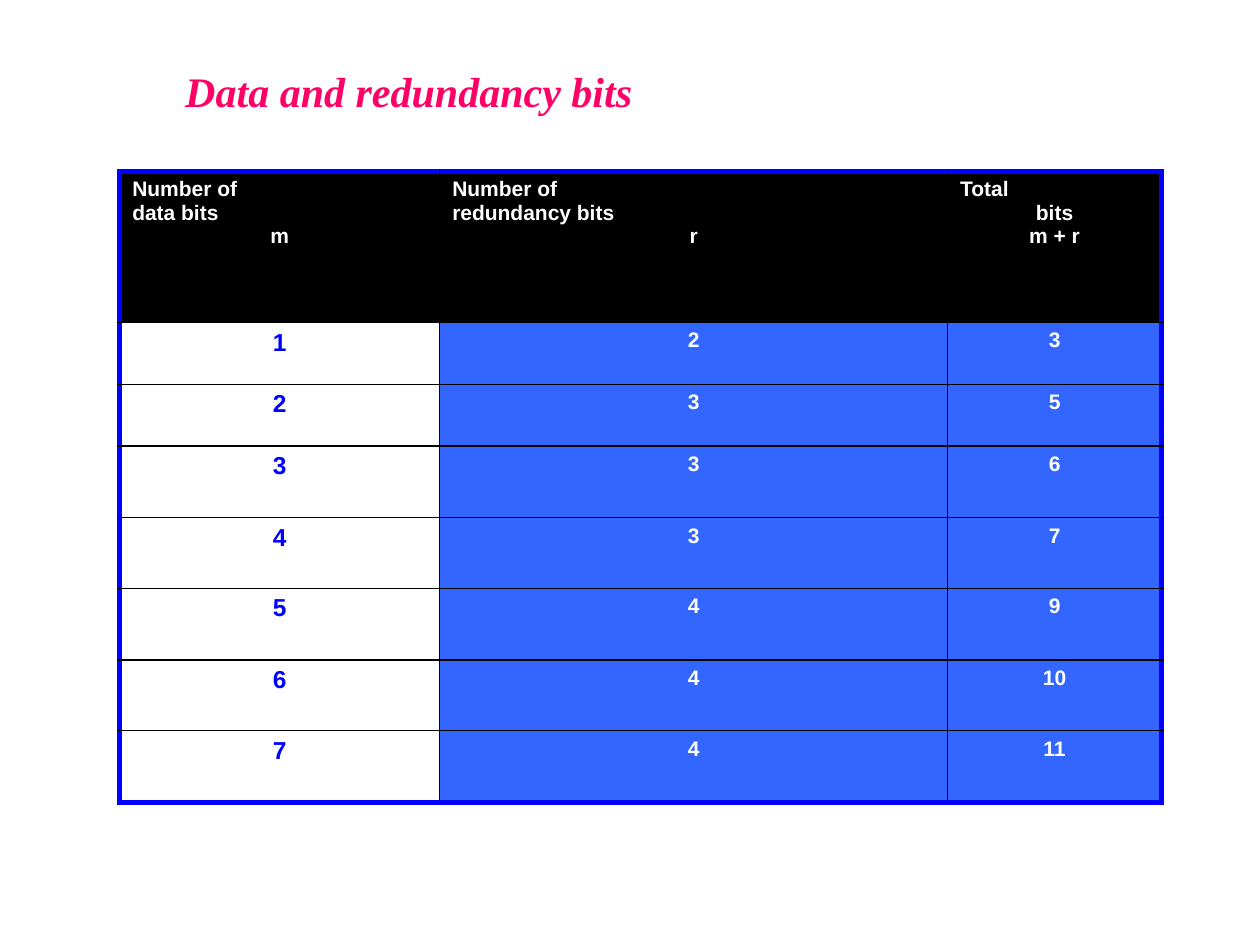
from dataclasses import dataclass

import pptx
import pptx.dml.color
import pptx.enum.text
import pptx.oxml
import pptx.oxml.ns
import pptx.util
from pptx.util import Inches

ALIGN = pptx.enum.text.PP_ALIGN


@dataclass(frozen=True)
class Theme:
    pink: str = "FF0066"
    blue: str = "0000FF"
    cell_blue: str = "3366FF"
    black: str = "000000"
    white: str = "FFFFFF"
    title_font: str = "Times New Roman"
    table_font: str = "Arial"
    title_size: float = 24
    data_size: float = 14
    text_size: float = 12
    frame_width: float = 3
    grid_width: float = 0.96


@dataclass(frozen=True)
class TextStyle:
    font: str
    size: float
    color: str
    italic: bool = False


@dataclass(frozen=True)
class Line:
    """One paragraph; its rows are parted by line breaks."""
    rows: tuple[str, ...]
    alignment: ALIGN = ALIGN.CENTER


THEME = Theme()
TITLE_STYLE = TextStyle(THEME.title_font, THEME.title_size, THEME.pink, True)
DATA_STYLE = TextStyle(THEME.table_font, THEME.data_size, THEME.blue)
TEXT_STYLE = TextStyle(THEME.table_font, THEME.text_size, THEME.white)

COLUMN_WIDTHS = (2.54, 4.03, 1.7)
ROW_HEIGHTS = (1.2, 0.49, 0.49, 0.57, 0.56, 0.57, 0.56, 0.57)
HEADERS = (
    (Line(("Number of", "data bits"), ALIGN.LEFT), Line(("m",))),
    (Line(("Number of", "redundancy bits"), ALIGN.LEFT), Line(("r",))),
    (Line(("Total",), ALIGN.LEFT), Line(("bits",)), Line(("m + r",))),
)
REDUNDANCY_BITS = (2, 3, 3, 3, 4, 4, 4)


def rgb(color: str) -> pptx.dml.color.RGBColor:
    return pptx.dml.color.RGBColor.from_string(color)


def write_text(text_frame, lines: tuple[Line, ...], style: TextStyle) -> None:
    for index, line in enumerate(lines):
        paragraph = text_frame.add_paragraph() if index else text_frame.paragraphs[0]
        paragraph.alignment = line.alignment
        for row_index, text in enumerate(line.rows):
            if row_index:
                paragraph.add_line_break()
            run = paragraph.add_run()
            run.text = text
            run.font.name = style.font
            run.font.size = pptx.util.Pt(style.size)
            run.font.bold = True
            run.font.italic = style.italic
            run.font.color.rgb = rgb(style.color)


def set_borders(cell, outer_sides: dict[str, bool]) -> None:
    """Blue frame on outer sides, thin black grid elsewhere."""
    properties = cell._tc.get_or_add_tcPr()
    for index, (side, outer) in enumerate(outer_sides.items()):
        color = THEME.blue if outer else THEME.black
        width = pptx.util.Pt(THEME.frame_width if outer else THEME.grid_width)
        border = pptx.oxml.parse_xml(
            f'<a:ln{side} {pptx.oxml.ns.nsdecls("a")} w="{int(width)}">'
            f'<a:solidFill><a:srgbClr val="{color}"/></a:solidFill></a:ln{side}>')
        properties.insert(index, border)


def add_title(slide) -> None:
    title = slide.shapes.title
    title.left, title.top = Inches(1.37), Inches(0.47)
    title.width, title.height = Inches(3.75), Inches(0.5)
    text_frame = title.text_frame
    text_frame.word_wrap = False
    text_frame.auto_size = pptx.enum.text.MSO_AUTO_SIZE.NONE
    text_frame.vertical_anchor = pptx.enum.text.MSO_ANCHOR.TOP
    write_text(text_frame, (Line(("Data and redundancy bits",), ALIGN.LEFT),), TITLE_STYLE)


def add_bits_table(slide) -> None:
    row_count, column_count = len(ROW_HEIGHTS), len(COLUMN_WIDTHS)
    table = slide.shapes.add_table(
        row_count, column_count, Inches(0.95), Inches(1.36),
        Inches(sum(COLUMN_WIDTHS)), Inches(sum(ROW_HEIGHTS))).table
    table.first_row = table.horz_banding = False
    for column, width in zip(table.columns, COLUMN_WIDTHS):
        column.width = Inches(width)
    for row, height in zip(table.rows, ROW_HEIGHTS):
        row.height = Inches(height)

    # The total is the sum of data and redundancy bits
    body = [tuple((Line((str(value),)),) for value in (m, r, m + r))
            for m, r in enumerate(REDUNDANCY_BITS, start=1)]
    for row_index, contents in enumerate([HEADERS, *body]):
        for column_index, lines in enumerate(contents):
            cell = table.cell(row_index, column_index)
            if row_index == 0:
                fill, style = THEME.black, TEXT_STYLE
            elif column_index == 0:
                fill, style = THEME.white, DATA_STYLE
            else:
                fill, style = THEME.cell_blue, TEXT_STYLE
            cell.fill.solid()
            cell.fill.fore_color.rgb = rgb(fill)
            write_text(cell.text_frame, lines, style)
            set_borders(cell, {
                "L": column_index == 0,
                "R": column_index == column_count - 1,
                "T": row_index == 0,
                "B": row_index == row_count - 1,
            })


# Slide with title and table
presentation = pptx.Presentation()
presentation.slide_width, presentation.slide_height = Inches(10), Inches(7.5)
slide = presentation.slides.add_slide(presentation.slide_layouts.get_by_name("Title Only"))
add_title(slide)
add_bits_table(slide)
presentation.save("out.pptx")
